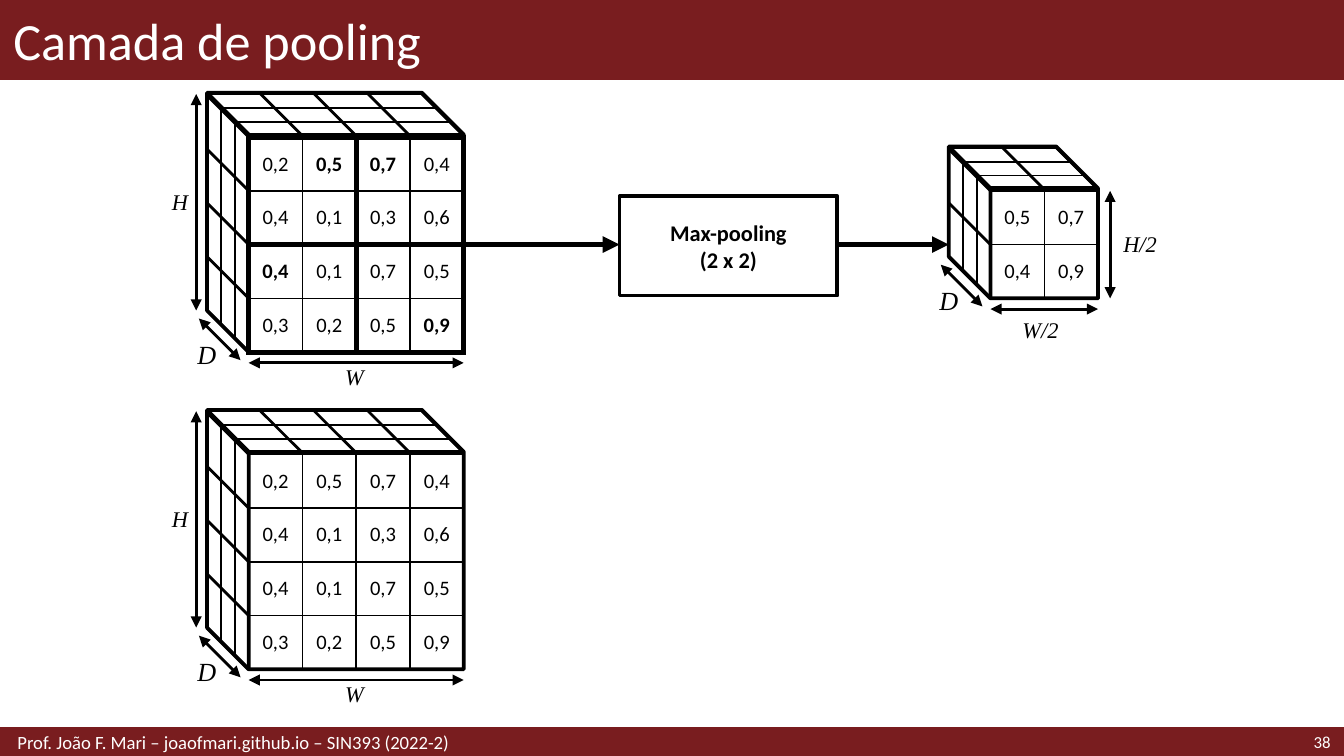
from lxml.etree import SubElement as Sub
from pptx import Presentation
from pptx.dml.color import RGBColor
from pptx.enum.shapes import MSO_CONNECTOR as Link, MSO_SHAPE as Kind
from pptx.enum.text import MSO_ANCHOR as Anchor, PP_ALIGN as Align
from pptx.oxml.ns import qn
from pptx.util import Inches, Pt

rgb = RGBColor.from_string
RED, BLACK, WHITE = "791D1F", "000000", "FFFFFF"
CELL, DEPTH = 0.4, 0.31

deck = Presentation()
deck.slide_width, deck.slide_height = Inches(10), Inches(10 * 9 / 16)
slide = deck.slides.add_slide(deck.slide_layouts[5])
shapes = slide.shapes


def write(frame, text, size=12, color=BLACK, font="Calibri", bold=False,
          italic=False, align=Align.LEFT, anchor=Anchor.MIDDLE):
    frame.word_wrap = True
    frame.vertical_anchor = anchor
    frame.text = text
    for para in frame.paragraphs:
        para.alignment = align
        face = para.font
        face.name, face.size, face.bold, face.italic = font, Pt(size), bold, italic
        face.color.rgb = rgb(color)


def draw(x1, y1, x2, y2, width=1.5, head=False, tail=False):
    link = shapes.add_connector(Link.STRAIGHT, Inches(x1), Inches(y1), Inches(x2), Inches(y2))
    link.line.color.rgb = rgb(BLACK)
    link.line.width = Pt(width)
    ln = link.line._get_or_add_ln()
    for tag, on in (("a:headEnd", head), ("a:tailEnd", tail)):
        if on:
            Sub(ln, qn(tag), type="triangle")
    Sub(link._element.spPr, qn("a:effectLst"))


for top, high in ((0, 0.59), (5.42, 0.2)):
    bar = shapes.add_shape(Kind.RECTANGLE, 0, Inches(top), Inches(10), Inches(high))
    bar.shadow.inherit = False
    bar.fill.solid()
    bar.fill.fore_color.rgb = bar.line.color.rgb = rgb(RED)
    bar.line.width = Pt(1)

title = shapes.title
title.left, title.top, title.width, title.height = 0, 0, Inches(10), Inches(0.59)
write(title.text_frame, "Camada de pooling", size=28, color=WHITE)
shapes._spTree.append(title._element)

foot = shapes.add_textbox(0, Inches(5.42), Inches(6.89), Inches(0.2))
foot.text_frame.margin_left = Inches(0.13)
write(foot.text_frame, "Prof. João F. Mari – joaofmari.github.io – SIN393 (2022-2)",
      size=10, color=WHITE)
page = shapes.add_textbox(Inches(8.86), Inches(5.42), Inches(1.14), Inches(0.2))
write(page.text_frame, "38", size=9, color=WHITE, align=Align.RIGHT)

grid = [row.split() for row in
        ("0,2 0,5 0,7 0,4", "0,4 0,1 0,3 0,6", "0,4 0,1 0,7 0,5", "0,3 0,2 0,5 0,9")]
pool = [[max(grid[r][c] for r in (i, i + 1) for c in (j, j + 1)) for j in (0, 2)]
        for i in (0, 2)]

cubes = [
    (1.85, 1.02, grid, True, "W", (2.47, 2.65, 0.36), "H", (1.18, 1.35, 0.31)),
    (1.85, 3.38, grid, False, "W", (2.47, 5.01, 0.36), "H", (1.18, 3.71, 0.31)),
    (7.37, 1.42, pool, False, "W/2", (7.51, 2.3, 0.53), "H/2", (8.26, 1.66, 0.57)),
]
for x, y, vals, split, wide, wbox, tall, hbox in cubes:
    n = len(vals)
    side = n * CELL
    frame = shapes.add_table(n, n, Inches(x), Inches(y), Inches(side), Inches(side))
    table = frame.table
    table.first_row = table.horz_banding = False
    for r, row in enumerate(vals):
        table.rows[r].height = table.columns[r].width = Inches(CELL)
        for c, val in enumerate(row):
            cell = table.cell(r, c)
            cell.margin_left = cell.margin_right = Inches(0.05)
            cell.margin_top = cell.margin_bottom = Inches(0.05)
            cell.vertical_anchor = Anchor.MIDDLE
            write(cell.text_frame, val, size=11, align=Align.CENTER,
                  bold=split and val == pool[r // 2][c // 2])
            props = cell._tc.get_or_add_tcPr()
            edges = (("L", c % 2 == 0), ("R", c % 2), ("T", r % 2 == 0), ("B", r % 2))
            for edge, thick in edges:
                ln = Sub(props, qn("a:ln" + edge), w=str(Pt(3 if split and thick else 1)))
                Sub(Sub(ln, qn("a:solidFill")), qn("a:srgbClr"), val=BLACK)
            cell.fill.background()

    cube = shapes.add_shape(Kind.CUBE, Inches(x - 0.32), Inches(y - 0.32),
                            Inches(side + 0.33), Inches(side + DEPTH))
    cube.rotation = 270
    cube.adjustments[0] = DEPTH / (side + DEPTH)
    cube.shadow.inherit = False
    cube.fill.background()
    cube.line.color.rgb = rgb(BLACK)
    cube.line.width = Pt(2)

    roof = y - 0.01
    for i in range(4):
        gap = DEPTH * (1 - i / 3)
        left, top = x - gap, roof - gap
        draw(left, top, left, top + side, width=1)
        draw(left, top, left + side, top, width=1)
    for i in range(n + 1):
        step = i * CELL
        draw(x, y + step, x - DEPTH, y + step - DEPTH)
        draw(x + step, roof, x + step - DEPTH, roof - DEPTH)

    base = y + side
    draw(x - 0.37, base - 0.25, x - 0.06, base + 0.06, head=True, tail=True)
    draw(x, base + 0.08, x + side, base + 0.08, head=True, tail=True)
    if vals is pool:
        draw(x + 0.89, base, x + 0.89, y, head=True, tail=True)
    else:
        draw(x - 0.39, base - DEPTH, x - 0.39, roof - DEPTH, head=True, tail=True)
    tags = ((wide, wbox, 12), (tall, hbox, 12), ("D", (x - 0.48, base - 0.15, 0.31), 14))
    for text, (left, top, width), size in tags:
        box = shapes.add_textbox(Inches(left), Inches(top), Inches(width), Inches(0.3))
        write(box.text_frame, text, size=size, font="Times New Roman", italic=True,
              anchor=Anchor.TOP)

step = shapes.add_shape(Kind.RECTANGLE, Inches(4.61), Inches(1.46), Inches(1.62), Inches(0.74))
step.shadow.inherit = False
step.fill.background()
step.line.color.rgb = rgb(BLACK)
step.line.width = Pt(2)
write(step.text_frame, "Max-pooling\n(2 x 2)", bold=True, align=Align.CENTER)

for start, end in ((3.45, 4.61), (6.23, 7.06)):
    draw(start, 1.82, end, 1.82, width=3, tail=True)

deck.save("out.pptx")
